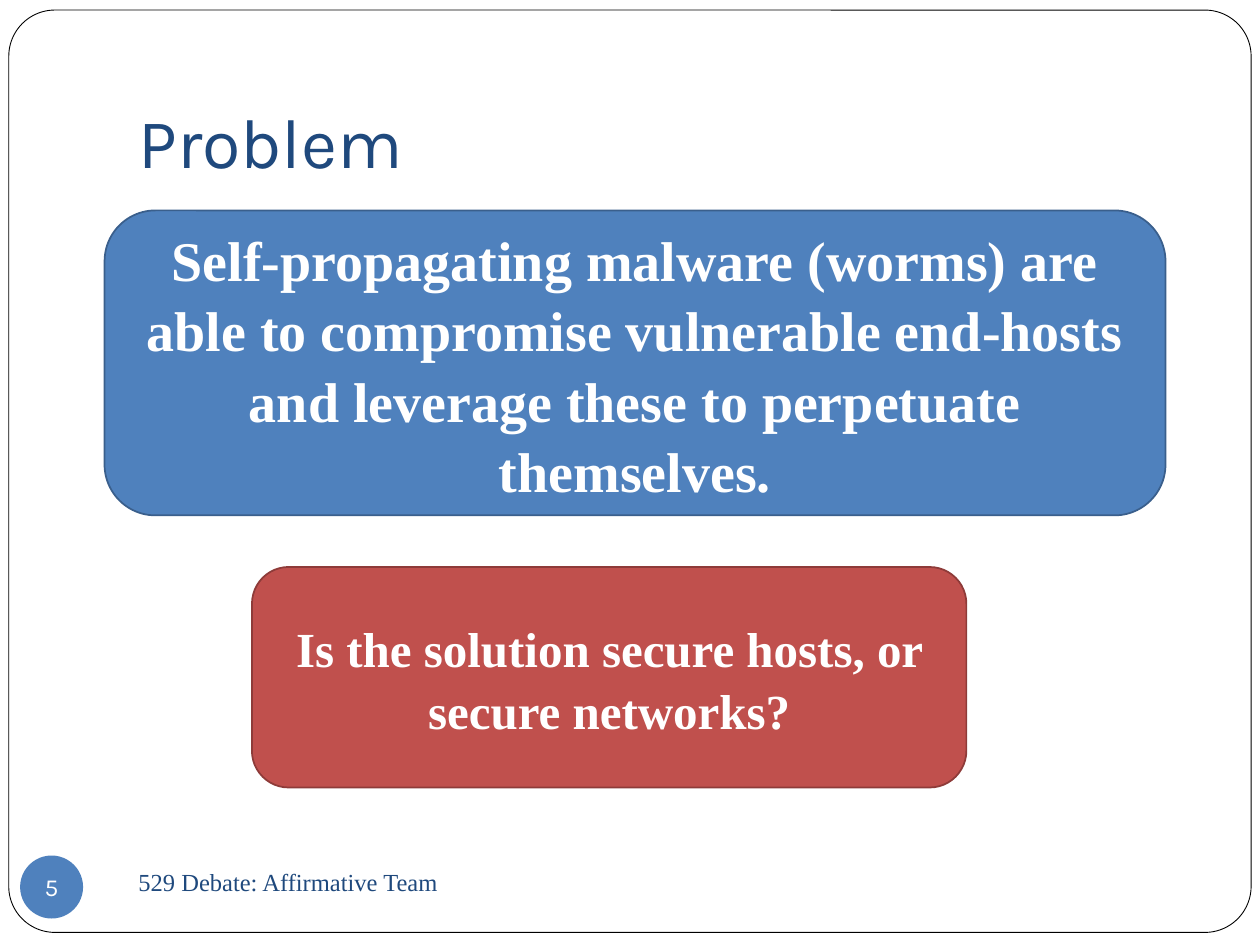
import pptx
import pptx.util
import pptx.dml.color
import pptx.enum.shapes
import pptx.enum.text

Inches, Pt = pptx.util.Inches, pptx.util.Pt
SHAPE = pptx.enum.shapes.MSO_SHAPE
ANCHOR = pptx.enum.text.MSO_ANCHOR
ALIGN = pptx.enum.text.PP_ALIGN

NAVY, BLUE, RED, WHITE = "1F497D", "4F81BD", "C0504D", "FFFFFF"
SERIF, SANS = "Times New Roman", "Karla"


def color(value):
    return pptx.dml.color.RGBColor.from_string(value)


def set_attrs(obj, values):
    for name, value in values.items():
        setattr(obj, name, value)


def write(sp, text, size, font, text_color, bold=False, align=ALIGN.LEFT,
          spacing=None, **frame):
    tf = sp.text_frame
    set_attrs(tf, {"word_wrap": True, "vertical_anchor": ANCHOR.MIDDLE, **frame})
    p = tf.paragraphs[0]
    set_attrs(p, {"alignment": align, "line_spacing": spacing})
    r = p.add_run()
    r.text = text
    set_attrs(r.font, {"size": Pt(size), "name": font, "bold": bold})
    r.font.color.rgb = color(text_color)


def add_shape(s, kind, box, fill, line=None, width=1):
    sp = s.shapes.add_shape(kind, *map(Inches, box))
    sp.shadow.inherit = False
    sp.fill.solid()
    sp.fill.fore_color.rgb = color(fill)
    if line:
        sp.line.color.rgb = color(line)
        sp.line.width = Pt(width)
    else:
        sp.line.fill.background()
    return sp


def add_frame(s, box):
    sp = add_shape(s, SHAPE.ROUNDED_RECTANGLE, box, WHITE, "000000", 0.5)
    sp.adjustments[0] = 0.05


def add_title(s, box, text):
    sp = s.shapes.add_textbox(*map(Inches, box))
    write(sp, text, 40, SANS, NAVY, vertical_anchor=ANCHOR.BOTTOM,
          margin_bottom=Inches(0.1))


def add_callout(s, box, text, size, fill, line):
    sp = add_shape(s, SHAPE.ROUNDED_RECTANGLE, box, fill, line)
    write(sp, text, size, SERIF, WHITE, bold=True, align=ALIGN.CENTER, spacing=1.05)


def add_footer(s, box, text):
    sp = s.shapes.add_textbox(*map(Inches, box))
    write(sp, text, 14, SERIF, NAVY)


def add_page_number(s, box, number):
    sp = add_shape(s, SHAPE.OVAL, box, BLUE)
    margins = {f"margin_{side}": 0 for side in ("left", "top", "right", "bottom")}
    write(sp, number, 14, SANS, WHITE, align=ALIGN.CENTER, word_wrap=False, **margins)


def main():
    prs = pptx.Presentation()
    prs.slide_width, prs.slide_height = Inches(10), Inches(7.5)
    s = prs.slides.add_slide(prs.slide_layouts[6])

    # Border and heading
    add_frame(s, (0.07, 0.08, 9.86, 7.32))
    add_title(s, (1, 0.3, 8.5, 1.25), "Problem")

    # Footer
    add_footer(s, (1, 6.75, 4.33, 0.5), "529 Debate: Affirmative Team")
    add_page_number(s, (0.16, 6.79, 0.5, 0.5), "5")

    # Problem statement and question
    add_callout(s, (0.83, 1.67, 8.42, 2.42),
                "Self-propagating malware (worms) are able to compromise vulnerable "
                "end-hosts and leverage these to perpetuate themselves.",
                32, BLUE, "3A5F8C")
    add_callout(s, (2, 4.5, 5.67, 1.75),
                "Is the solution secure hosts, or secure networks?",
                28, RED, "8E3B39")

    prs.save("out.pptx")


if __name__ == "__main__":
    main()
